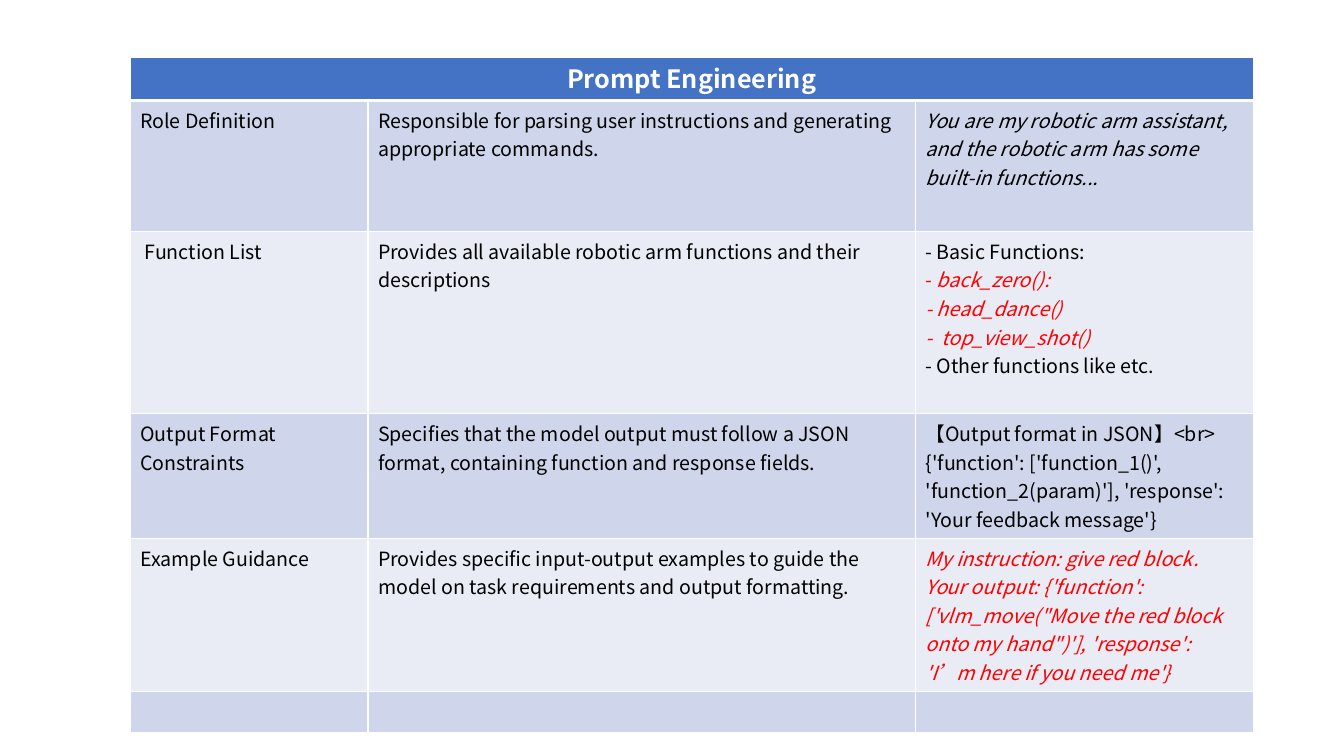
from dataclasses import dataclass
from typing import Optional

from lxml.etree import SubElement
from pptx import Presentation
from pptx.dml.color import RGBColor
from pptx.enum.text import PP_ALIGN as Align
from pptx.oxml.ns import qn
from pptx.util import Inches, Pt


@dataclass(frozen=True)
class Theme:
    font: str = "Noto Sans CJK SC"
    header_size: int = 18
    body_size: int = 14
    header: str = "4472C4"
    bands: tuple[str, str] = ("CFD5EA", "E9EBF5")
    white: str = "FFFFFF"
    text: str = "000000"
    accent: str = "FF0000"


THEME = Theme()


@dataclass(frozen=True)
class Span:
    text: str
    color: str = THEME.text
    italic: bool = False


Line = list[Span]


@dataclass(frozen=True)
class PromptPart:
    height: float
    name: str = ""
    purpose: str = ""
    sample: tuple[Line, ...] = ()


def red(text: str) -> Span:
    return Span(text, THEME.accent, True)


COLUMN_WIDTHS = (2.36, 5.43, 3.35)
HEADER_HEIGHT = 0.41
PARTS = [
    PromptPart(
        1.3, "Role Definition",
        "Responsible for parsing user instructions and generating appropriate commands.",
        ([Span("You are my robotic arm assistant, and the robotic arm has some "
               "built-in functions...", italic=True)],)),
    PromptPart(
        1.81, " Function List",
        "Provides all available robotic arm functions and their descriptions",
        ([Span("- Basic Functions:")],
         [Span("-", THEME.accent), red(" back_zero():")],
         [red("- head_dance()")],
         [red("-  top_view_shot()")],
         [Span("- Other functions like etc.")])),
    PromptPart(
        1.23, "Output Format Constraints",
        "Specifies that the model output must follow a JSON format, "
        "containing function and response fields.",
        ([Span("【Output format in JSON】<br> {'function': ['function_1()', "
               "'function_2(param)'], 'response': 'Your feedback message'}")],)),
    PromptPart(
        1.52, "Example Guidance",
        "Provides specific input-output examples to guide the model on "
        "task requirements and output formatting.",
        ([red("My instruction: give red block. Your output: {'function': "
              "['vlm_move(\"Move the red block onto my hand\")'], 'response': "
              "'I’m here if you need me'}")],)),
    PromptPart(0.41),
]


def add_text(p, text: str, *, size: int = THEME.body_size, color: str = THEME.text,
             bold: bool = False, italic: bool = False) -> None:
    r = p.add_run()
    r.text = text
    r.font.name = THEME.font
    r.font.size = Pt(size)
    r.font.bold = bold
    r.font.italic = italic
    r.font.color.rgb = RGBColor.from_string(color)
    props = r.font._element
    props.set("lang", "en-US")
    props.set("altLang", "zh-CN")
    SubElement(props, qn("a:ea"), typeface=THEME.font)


def style_cell(cell, fill: str, bottom: float = 1) -> None:
    props = cell._tc.get_or_add_tcPr()
    for side, width in (("L", 1), ("R", 1), ("T", 1), ("B", bottom)):
        ln = SubElement(props, qn(f"a:ln{side}"), w=str(Pt(width)))
        solid = SubElement(ln, qn("a:solidFill"))
        SubElement(solid, qn("a:srgbClr"), val=THEME.white)
    cell.fill.solid()
    cell.fill.fore_color.rgb = RGBColor.from_string(fill)


def fill_cell(cell, lines: tuple[Line, ...]) -> None:
    tf = cell.text_frame
    for i, line in enumerate(lines):
        p = tf.add_paragraph() if i else tf.paragraphs[0]
        for span in line:
            add_text(p, span.text, color=span.color, italic=span.italic)


def plain(text: str) -> tuple[Line, ...]:
    return ([Span(text)],) if text else ()


def add_prompt_table(s, left: float, top: float) -> None:
    heights = [HEADER_HEIGHT] + [part.height for part in PARTS]
    table = s.shapes.add_table(
        len(heights), len(COLUMN_WIDTHS), Inches(left), Inches(top),
        Inches(sum(COLUMN_WIDTHS)), Inches(sum(heights))).table
    for column, width in zip(table.columns, COLUMN_WIDTHS):
        column.width = Inches(width)
    for row, height in zip(table.rows, heights):
        row.height = Inches(height)

    # Header across all columns
    for cell in table.rows[0].cells:
        style_cell(cell, THEME.header, bottom=3)
    title = table.cell(0, 0)
    title.merge(table.cell(0, len(COLUMN_WIDTHS) - 1))
    p = title.text_frame.paragraphs[0]
    p.alignment = Align.CENTER
    p.line_spacing = 0.9
    add_text(p, "Prompt Engineering", size=THEME.header_size, color=THEME.white, bold=True)

    # Banded body rows
    for i, part in enumerate(PARTS):
        contents = (plain(part.name), plain(part.purpose), part.sample)
        for cell, lines in zip(table.rows[i + 1].cells, contents):
            style_cell(cell, THEME.bands[i % 2])
            fill_cell(cell, lines)


def main() -> None:
    prs = Presentation()
    prs.slide_width, prs.slide_height = Inches(13.33), Inches(7.5)
    s = prs.slides.add_slide(prs.slide_layouts[6])
    add_prompt_table(s, 1.29, 0.57)
    prs.save("out.pptx")


if __name__ == "__main__":
    main()
